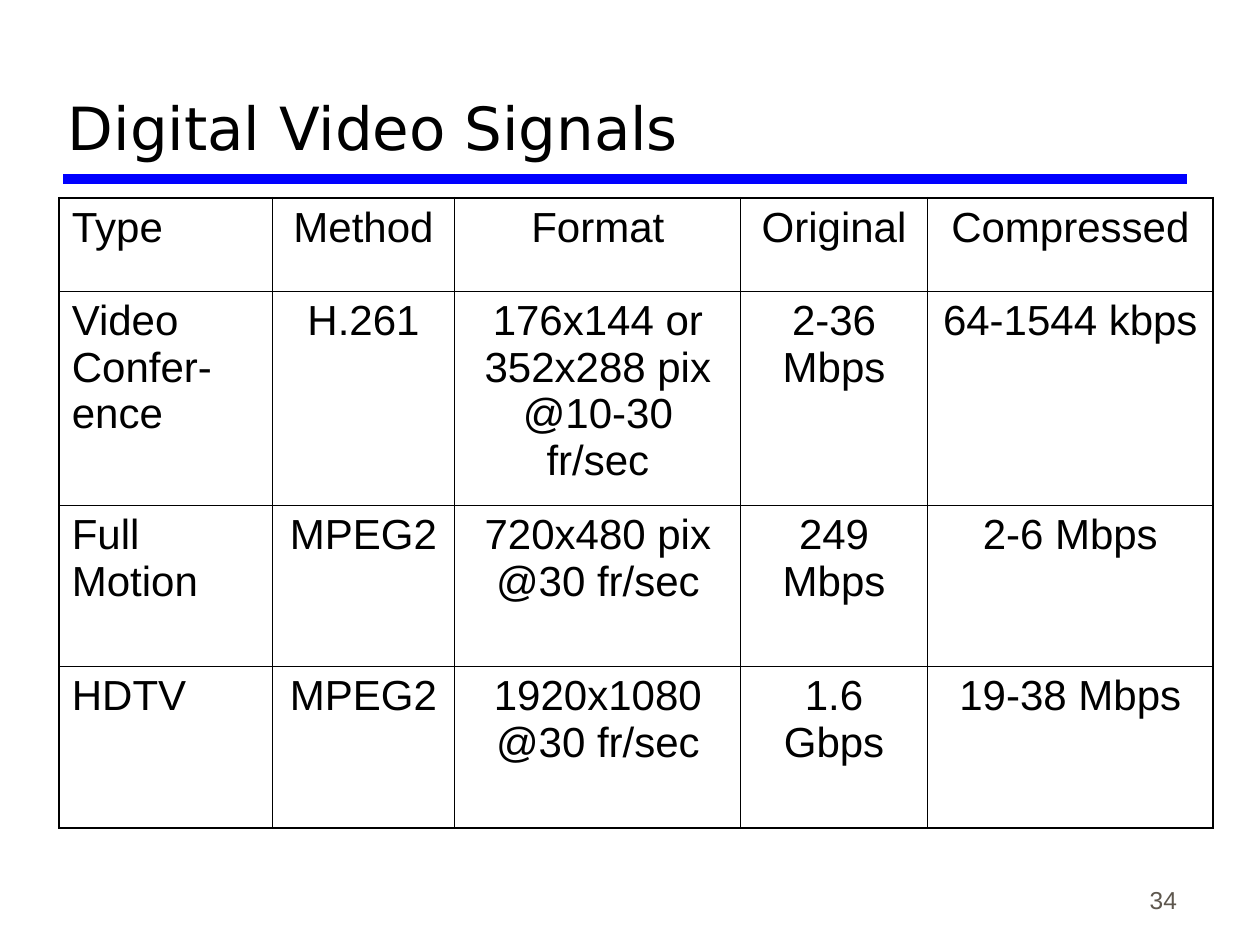
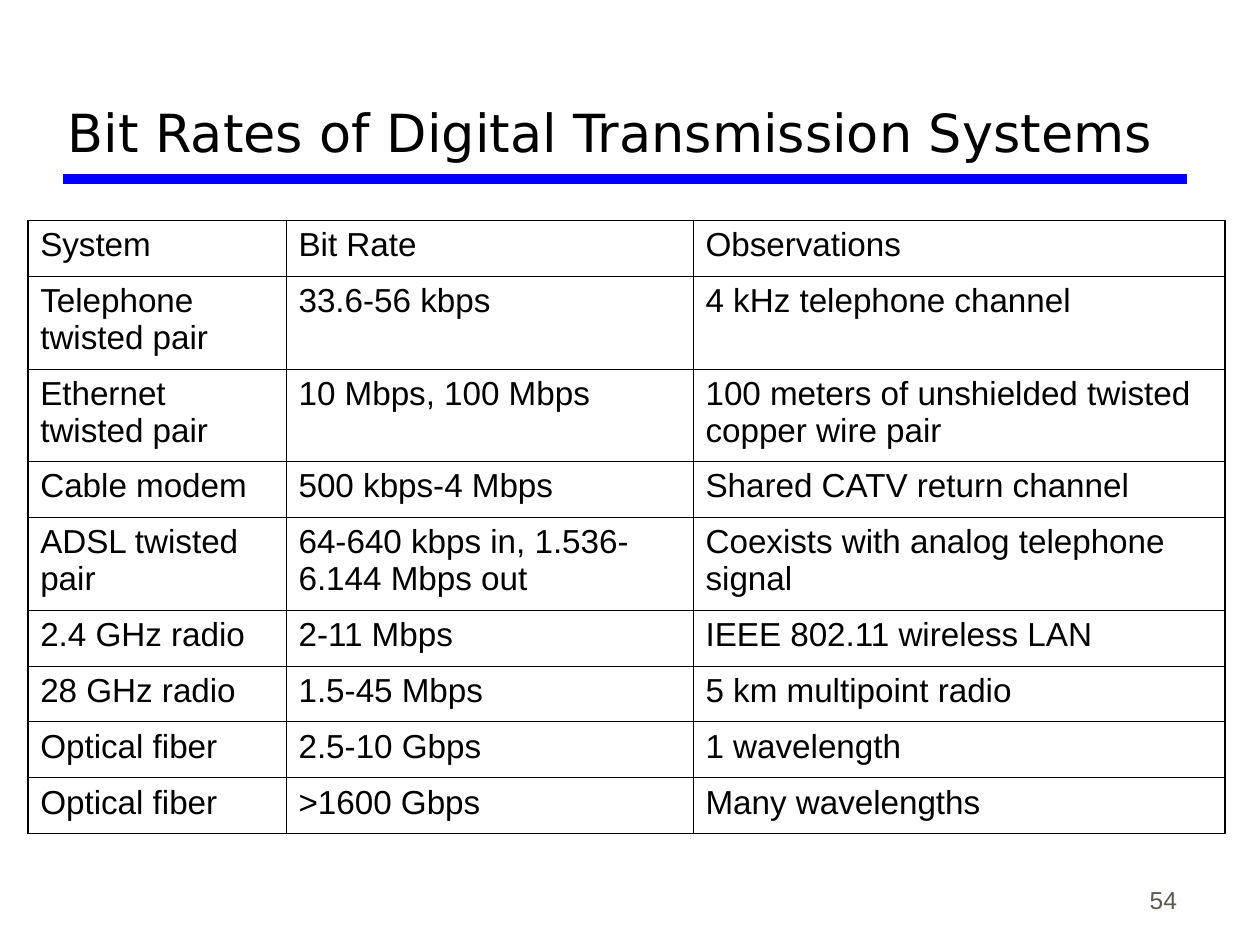
from dataclasses import dataclass

from lxml import etree
from pptx import Presentation
from pptx import util as u
from pptx.dml import color
from pptx.enum import shapes, text
from pptx.oxml import ns

LEFT, MID, RIGHT = text.PP_ALIGN.LEFT, text.PP_ALIGN.CENTER, text.PP_ALIGN.RIGHT


@dataclass(frozen=True)
class Theme:
    """Hold the colours, fonts and sizes shared by all slides."""
    ink: str = "000000"
    rule: str = "0000FF"
    page: str = "5E574E"
    head: str = "DejaVu Sans"
    body: str = "Arial"
    bar: float = 6
    thin: float = 0.45
    thick: float = 1.08
    note: float = 14
    big: float = 34
    mid: float = 30
    wide: float = 24
    dense: float = 19
    gap: float = 0.25


class Deck:
    """Draw elements on the current slide over a grid of 100 by 75 units."""

    def __init__(self, theme):
        """Start a deck of 10 by 7.5 inches."""
        self.theme = theme
        self.prs = Presentation()
        self.prs.slide_width, self.prs.slide_height = u.Inches(10), u.Inches(7.5)
        self.slide = None

    def col(self, n):
        """Turn grid columns into a length."""
        return round(self.prs.slide_width * n / 100)

    def row(self, n):
        """Turn grid rows into a length."""
        return round(self.prs.slide_height * n / 75)

    def put(self, frame, words, size, font, ink, align=LEFT, gap=0):
        """Put one run of styled text into a frame."""
        para = frame.paragraphs[0]
        para.alignment = align
        para.space_before = u.Pt(gap)
        run = para.add_run()
        run.text = words
        run.font.size = u.Pt(size)
        run.font.name = font
        run.font.color.rgb = color.RGBColor.from_string(ink)

    def label(self, x, y, w, h, *style, **more):
        """Add a text box whose text sits at the bottom."""
        box = self.slide.shapes.add_textbox(
            self.col(x), self.row(y), self.col(w), self.row(h))
        frame = box.text_frame
        frame.word_wrap = True
        frame.vertical_anchor = text.MSO_ANCHOR.BOTTOM
        self.put(frame, *style, **more)

    def line(self, x, y, end):
        """Add the level bar under the title."""
        bar = self.slide.shapes.add_connector(
            shapes.MSO_CONNECTOR.STRAIGHT,
            self.col(x), self.row(y), self.col(end), self.row(y))
        bar.line.color.rgb = color.RGBColor.from_string(self.theme.rule)
        bar.line.width = u.Pt(self.theme.bar)
        etree.SubElement(bar._element.spPr, ns.qn("a:effectLst"))

    def page(self, title, size, num):
        """Start a slide with its bar, number and title."""
        look = self.theme
        self.slide = self.prs.slides.add_slide(self.prs.slide_layouts[6])
        self.line(5, 14.2, 94.2)
        self.label(73.6, 68.1, 20.8, 5, num, look.note, look.body, look.page,
                   align=RIGHT)
        self.label(4.4, 1.7, 89.7, 11.7, title, size, look.head, look.ink)

    def edge(self, cell, sides):
        """Draw cell borders, thick where the side is on the rim."""
        props = cell._tc.get_or_add_tcPr()
        for spot, (side, rim) in enumerate(sides.items()):
            width = u.Pt(self.theme.thick if rim else self.theme.thin)
            border = etree.Element(ns.qn(f"a:ln{side}"), w=str(int(width)))
            fill = etree.SubElement(border, ns.qn("a:solidFill"))
            etree.SubElement(fill, ns.qn("a:srgbClr"), val=self.theme.ink)
            props.insert(spot, border)

    def table(self, x, y, cols, rows, data, size, align=LEFT):
        """Add a ruled table; align holds for all columns after the first."""
        look = self.theme
        grid = self.slide.shapes.add_table(
            len(rows), len(cols), self.col(x), self.row(y),
            self.col(sum(cols)), self.row(sum(rows))).table
        grid.first_row = grid.horz_banding = False
        for part, wide in zip(grid.columns, cols):
            part.width = self.col(wide)
        for part, high in zip(grid.rows, rows):
            part.height = self.row(high)
        for r, line in enumerate(data):
            for c, words in enumerate(line):
                cell = grid.cell(r, c)
                cell.fill.background()
                self.put(cell.text_frame, words, size, look.body, look.ink,
                         align=align if c else LEFT, gap=size * look.gap)
                self.edge(cell, {"L": c == 0, "R": c == len(cols) - 1,
                                 "T": r == 0, "B": r == len(rows) - 1})


VIDEO = [
    ("Type", "Method", "Format", "Original", "Compressed"),
    ("Video Confer-ence", "H.261", "176x144 or 352x288 pix @10-30 fr/sec",
     "2-36 Mbps", "64-1544 kbps"),
    ("Full Motion", "MPEG2", "720x480 pix @30 fr/sec", "249 Mbps", "2-6 Mbps"),
    ("HDTV", "MPEG2", "1920x1080 @30 fr/sec", "1.6 Gbps", "19-38 Mbps"),
]
RATES = [
    ("System", "Bit Rate", "Observations"),
    ("Telephone twisted pair", "33.6-56 kbps", "4 kHz telephone channel"),
    ("Ethernet twisted pair", "10 Mbps, 100 Mbps",
     "100 meters of unshielded twisted copper wire pair"),
    ("Cable modem", "500 kbps-4 Mbps", "Shared CATV return channel"),
    ("ADSL twisted pair", "64-640 kbps in, 1.536-6.144 Mbps out",
     "Coexists with analog telephone signal"),
    ("2.4 GHz radio", "2-11 Mbps", "IEEE 802.11 wireless LAN"),
    ("28 GHz radio", "1.5-45 Mbps", "5 km multipoint radio"),
    ("Optical fiber", "2.5-10 Gbps", "1 wavelength"),
    ("Optical fiber", ">1600 Gbps", "Many wavelengths"),
]


def main():
    """Build both slides and save them."""
    look = Theme()
    deck = Deck(look)
    deck.page("Digital Video Signals", look.big, "34")
    deck.table(4.7, 15.7, [16.9, 14.5, 22.7, 14.8, 22.7],
               [7.4, 17, 12.8, 12.8], VIDEO, look.wide, MID)
    deck.page("Bit Rates of Digital Transmission Systems", look.mid, "54")
    one, two = 4.44, 7.35
    deck.table(2.2, 17.5, [20.5, 32.3, 42.2],
               [one, two, two, one, two] + [one] * 4, RATES, look.dense)
    deck.prs.save("out.pptx")


if __name__ == "__main__":
    main()
